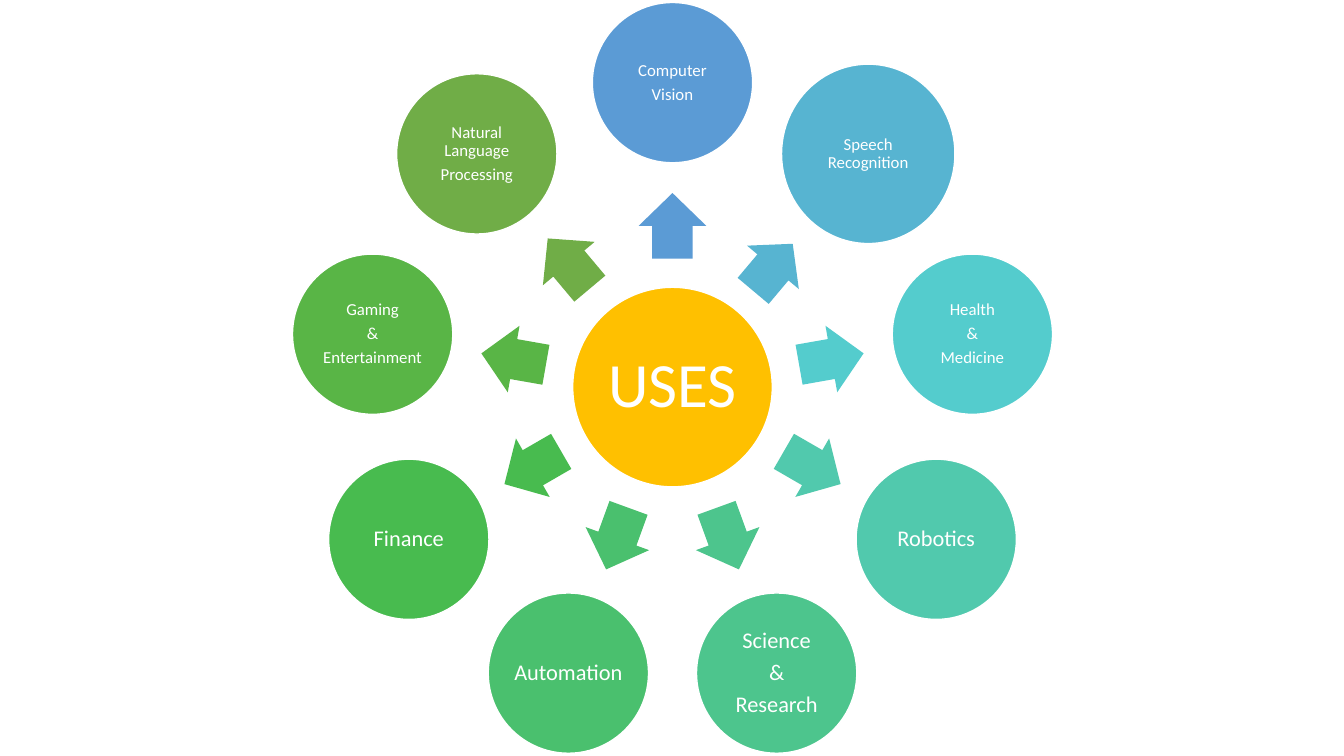
import math

import pptx
import pptx.dml.color
import pptx.enum.shapes
import pptx.enum.text
import pptx.util

Inches = pptx.util.Inches
Pt = pptx.util.Pt
MSO_SHAPE = pptx.enum.shapes.MSO_SHAPE

COLORS = {
    "white": "FFFFFF",
    "hub": "FFC000",
    "vision": "5B9BD5",
    "speech": "57B4D1",
    "health": "54CCCD",
    "robotics": "51C9AD",
    "science": "4DC58D",
    "automation": "4AC06E",
    "finance": "48BB4F",
    "gaming": "59B546",
    "language": "70AD47",
}

# Clockwise from the top: colour, text, text size
USES = [
    ("vision", "Computer\nVision", 12),
    ("speech", "Speech Recognition", 12),
    ("health", "Health\n&\nMedicine", 12),
    ("robotics", "Robotics", 16),
    ("science", "Science\n&\nResearch", 16),
    ("automation", "Automation", 16),
    ("finance", "Finance", 16),
    ("gaming", "Gaming\n&\nEntertainment", 12),
    ("language", "Natural Language\nProcessing", 12),
]

CENTER_X, CENTER_Y = 6.67, 3.84
CIRCLE_ORBIT, ARROW_ORBIT = 3.02, 1.6

deck = pptx.Presentation()
deck.slide_width = Inches(13.33)
deck.slide_height = Inches(7.5)
page = deck.slides.add_slide(deck.slide_layouts[6])


def add_centered(kind, angle, orbit, width, height, color):
    """Add a filled shape whose middle lies on an orbit around the hub."""
    x = CENTER_X + orbit * math.cos(math.radians(angle))
    y = CENTER_Y + orbit * math.sin(math.radians(angle))
    shape = page.shapes.add_shape(
        kind, Inches(x - width / 2), Inches(y - height / 2), Inches(width), Inches(height)
    )
    shape.shadow.inherit = False
    shape.fill.solid()
    shape.fill.fore_color.rgb = pptx.dml.color.RGBColor.from_string(COLORS[color])
    shape.line.fill.background()
    return shape


def write_circle(circle, text, size, inset=0.02, color="white"):
    """Outline a circle and centre its text, one paragraph per line."""
    ink = pptx.dml.color.RGBColor.from_string(COLORS[color])
    circle.line.color.rgb = ink
    circle.line.width = Pt(1)
    frame = circle.text_frame
    frame.word_wrap = True
    frame.vertical_anchor = pptx.enum.text.MSO_ANCHOR.MIDDLE
    frame.margin_left = frame.margin_right = Inches(inset)
    frame.margin_top = frame.margin_bottom = Inches(inset)
    frame.text = text
    for para in frame.paragraphs:
        para.alignment = pptx.enum.text.PP_ALIGN.CENTER
        para.line_spacing = 0.9
        para.space_after = Pt(size * 0.35)
        para.font.name = "Calibri"
        para.font.size = Pt(size)
        para.font.color.rgb = ink


hub = add_centered(MSO_SHAPE.OVAL, 0, 0, 1.98, 1.98, "hub")
write_circle(hub, "USES", 45, inset=0.06)

for index, (color, text, size) in enumerate(USES):
    angle = (270 + index * 360 / len(USES)) % 360
    # The speech circle is larger, so its arrow is shorter and sits closer in
    is_speech = color == "speech"
    arrow_orbit = 1.55 if is_speech else ARROW_ORBIT
    arrow_length = 0.61 if is_speech else 0.65
    width, height = (1.72, 1.78) if is_speech else (1.59, 1.59)

    arrow = add_centered(MSO_SHAPE.RIGHT_ARROW, angle, arrow_orbit, arrow_length, 0.67, color)
    arrow.rotation = angle
    arrow.adjustments[0] = 0.6
    arrow.adjustments[1] = 0.5

    circle = add_centered(MSO_SHAPE.OVAL, angle, CIRCLE_ORBIT, width, height, color)
    write_circle(circle, text, size)

deck.save("out.pptx")
